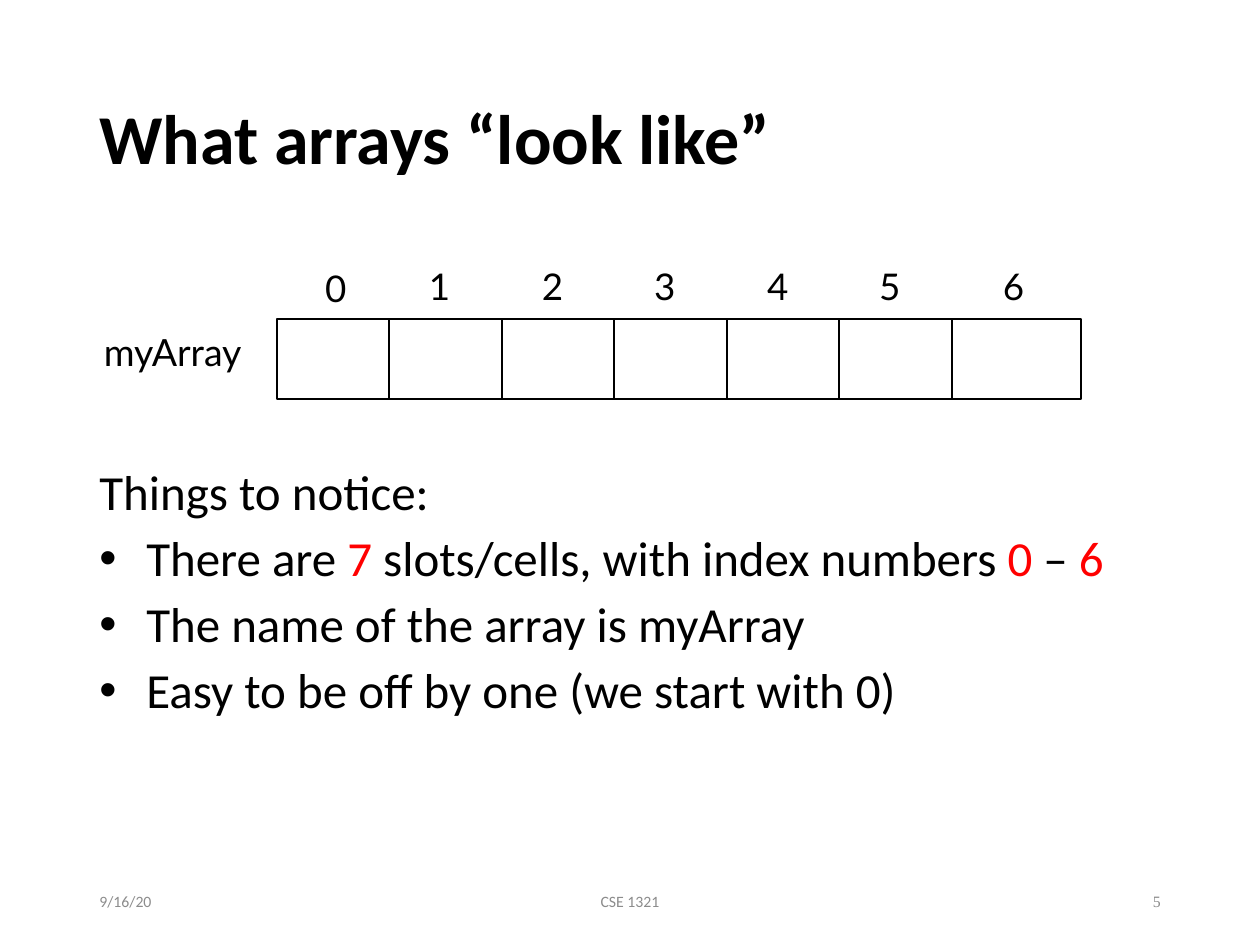
from lxml import etree
from pptx import Presentation
from pptx import util as u
from pptx.dml.color import RGBColor
from pptx.enum import shapes, text
from pptx.oxml.ns import qn

SCALE = u.Inches(1) / 126
BLACK, RED, GREY = "000000", "FF0000", "8C8C8C"


def px(*lengths):
    return [u.Emu(round(length * SCALE)) for length in lengths]


def write(para, words, size=28, font="Calibri", color=BLACK, bold=False, align="LEFT"):
    para.alignment = getattr(text.PP_ALIGN, align)
    span = para.add_run()
    span.text = words
    span.font.size = u.Pt(size)
    span.font.name = font
    span.font.bold = bold
    span.font.color.rgb = RGBColor.from_string(color)


deck = Presentation()
deck.slide_width, deck.slide_height = px(1260, 945)
page = deck.slides.add_slide(deck.slide_layouts[5])

title = page.shapes.title
title.left, title.top, title.width, title.height = px(87, 50, 1086, 183)
title.text_frame.vertical_anchor = text.MSO_ANCHOR.MIDDLE
heading = title.text_frame.paragraphs[0]
heading.line_spacing = 0.9
write(heading, "What arrays “look like”", size=40, bold=True)

notes = [
    [("Things to notice:", BLACK)],
    [("There are ", BLACK), ("7", RED), (" slots/cells, with index numbers ", BLACK),
     ("0", RED), (" – ", BLACK), ("6", RED)],
    [("The name of the array is myArray", BLACK)],
    [("Easy to be off by one (we start with 0)", BLACK)],
]
body = page.shapes.add_textbox(*px(87, 233, 1086, 600)).text_frame
body.word_wrap = True
body.margin_top = px(235)[0]
for row, spans in enumerate(notes):
    para = body.add_paragraph() if row else body.paragraphs[0]
    para.line_spacing = 0.9
    if row:
        para.space_before = u.Pt(7.5)
        props = para._p.get_or_add_pPr()
        indent = px(47)[0]
        props.set("marL", str(indent))
        props.set("indent", str(-indent))
        etree.SubElement(props, qn("a:buFont")).set("typeface", "Arial")
        etree.SubElement(props, qn("a:buChar")).set("char", "•")
    for words, color in spans:
        write(para, words, color=color)

footers = [
    (87, 284, "9/16/20", "LEFT", "Calibri", GREY),
    (417, 426, "CSE 1321", "CENTER", "Calibri", GREY),
    (890, 283, "5", "RIGHT", "Times New Roman", "898989"),
]
for left, width, words, align, font, color in footers:
    frame = page.shapes.add_textbox(*px(left, 876, width, 50)).text_frame
    frame.word_wrap = True
    frame.vertical_anchor = text.MSO_ANCHOR.MIDDLE
    write(frame.paragraphs[0], words, size=9, font=font, color=color, align=align)

array_left, array_top, array_width, array_height = 277, 319, 804, 80
array = page.shapes.add_shape(
    shapes.MSO_SHAPE.RECTANGLE, *px(array_left, array_top, array_width, array_height))
array.shadow.inherit = False
array.fill.background()
array.line.color.rgb = RGBColor.from_string(BLACK)
array.line.width = u.Pt(0.75)

for slot in range(1, 7):
    x = array_left + slot * 675 // 6
    divider = page.shapes.add_connector(
        shapes.MSO_CONNECTOR.STRAIGHT, *px(x, array_top, x, array_top + array_height))
    divider.line.color.rgb = RGBColor.from_string(BLACK)
    divider.line.width = u.Pt(0.75)
    etree.SubElement(divider._element.spPr, qn("a:effectLst"))

labels = [(306, 256, 59, "0", 21)]
labels += [(298 + slot * 675 // 6, 254, 59, str(slot), 21) for slot in range(1, 6)]
labels += [(984, 254, 59, "6", 21), (85, 319, 176, "myArray", 21.4)]
for left, top, width, words, size in labels:
    frame = page.shapes.add_textbox(*px(left, top, width, 65)).text_frame
    frame.word_wrap = False
    frame.auto_size = text.MSO_AUTO_SIZE.SHAPE_TO_FIT_TEXT
    frame.margin_left = frame.margin_right = px(19)[0]
    frame.margin_top = frame.margin_bottom = px(10)[0]
    write(frame.paragraphs[0], words, size=size, font="Lato")

deck.save("out.pptx")
